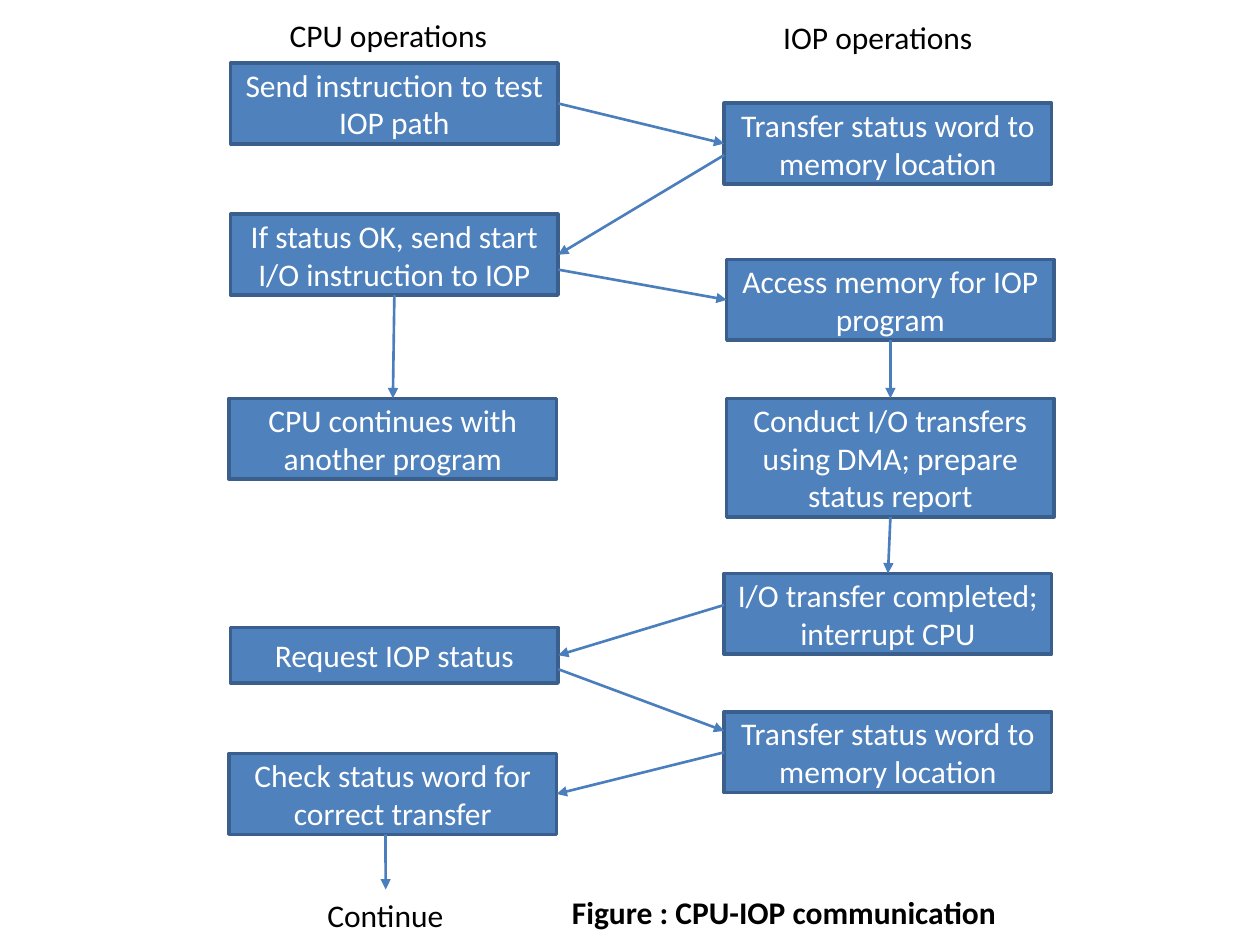
from collections import namedtuple
from dataclasses import dataclass

from lxml.etree import SubElement
from pptx import Presentation
from pptx.dml.color import RGBColor
from pptx.enum.shapes import MSO_CONNECTOR, MSO_SHAPE
from pptx.enum.text import MSO_ANCHOR, MSO_AUTO_SIZE, PP_ALIGN
from pptx.oxml.ns import qn
from pptx.util import Cm, Pt

Box = namedtuple("Box", "left top width height")
Step = namedtuple("Step", "name text top height shift", defaults=(1.63, 0))
End = namedtuple("End", "name side offset", defaults=(0,))
TOP, LEFT, BOTTOM, RIGHT = range(4)


@dataclass(frozen=True)
class Theme:
    """Colours, font and sizes of the flowchart."""
    font: str = "Calibri"
    size: Pt = Pt(18)
    step_fill: RGBColor = RGBColor(0x4F, 0x81, 0xBD)
    step_edge: RGBColor = RGBColor(0x3A, 0x5F, 0x8C)
    arrow: RGBColor = RGBColor(0x4B, 0x7E, 0xBC)
    on_step: RGBColor = RGBColor(0xFF, 0xFF, 0xFF)
    ink: RGBColor = RGBColor(0, 0, 0)
    edge_width: Pt = Pt(2)
    arrow_width: Pt = Pt(1.5)


THEME = Theme()

CPU_BOX = Box(4.65, 0.2, 6.6, 16.62)
IOP_BOX = Box(14.6, 0.23, 6.6, 15.75)
CONTINUE_BOX = Box(6.35, 17.93, 2.95, 1.02)
CAPTION_BOX = Box(11.28, 17.88, 12.7, 1.02)

CPU_STEPS = [
    Step("test", "Send instruction to test IOP path", 1.07),
    Step("start", "If status OK, send start I/O instruction to IOP", 4.12),
    Step("carry on", "CPU continues with another program", 7.83, shift=-0.03),
    Step("request", "Request IOP status", 12.45, 1.12),
    Step("check", "Check status word for correct transfer", 14.99, shift=-0.03),
]
IOP_STEPS = [
    Step("first status", "Transfer status word to memory location", 1.85),
    Step("access", "Access memory for IOP program", 5, shift=0.05),
    Step("conduct", "Conduct I/O transfers using DMA; prepare status report",
         7.8, 2.39, 0.05),
    Step("interrupt", "I/O transfer completed; interrupt CPU", 11.33),
    Step("last status", "Transfer status word to memory location", 14.12),
]
FLOWS = [
    (End("test", RIGHT), End("first status", LEFT)),
    (End("first status", LEFT, 0.23), End("start", RIGHT)),
    (End("start", RIGHT, 0.3), End("access", LEFT)),
    (End("start", BOTTOM), End("carry on", TOP)),
    (End("access", BOTTOM), End("conduct", TOP)),
    (End("conduct", BOTTOM), End("interrupt", TOP)),
    (End("interrupt", LEFT, -0.18), End("request", RIGHT)),
    (End("request", RIGHT, 0.28), End("last status", LEFT, -0.43)),
    (End("last status", LEFT), End("check", RIGHT)),
    (End("check", BOTTOM, -0.15), End("continue", TOP, -0.05)),
]


def write(frame, text, color, align=PP_ALIGN.LEFT, bold=False):
    """Put one formatted paragraph into a text frame."""
    frame.text = text
    frame.word_wrap = True
    paragraph = frame.paragraphs[0]
    paragraph.alignment = align
    font = paragraph.runs[0].font
    font.name, font.size, font.bold = THEME.font, THEME.size, bold
    font.color.rgb = color


def draw_label(slide, box, text, bold=False):
    """Draw plain text in the given box."""
    label = slide.shapes.add_textbox(*map(Cm, box))
    write(label.text_frame, text, THEME.ink, bold=bold)
    label.text_frame.auto_size = MSO_AUTO_SIZE.SHAPE_TO_FIT_TEXT
    return label


def draw_step(slide, box, text):
    """Draw one step of the flow in the given box."""
    step = slide.shapes.add_shape(MSO_SHAPE.RECTANGLE, *map(Cm, box))
    step.shadow.inherit = False
    step.fill.solid()
    step.fill.fore_color.rgb = THEME.step_fill
    step.line.color.rgb = THEME.step_edge
    step.line.width = THEME.edge_width
    step.text_frame.vertical_anchor = MSO_ANCHOR.MIDDLE
    write(step.text_frame, text, THEME.on_step, PP_ALIGN.CENTER)
    return step


def draw_column(slide, box, heading, steps):
    """Draw a headed column of steps and return the shapes by step name."""
    draw_label(slide, Box(box.left + 0.94, box.top, 4.75, 1.02), heading)
    return {
        step.name: draw_step(
            slide,
            Box(box.left + step.shift, box.top + step.top, box.width, step.height),
            step.text)
        for step in steps
    }


def locate(shape, side, offset):
    """Return the point at an offset from the middle of a side."""
    if side in (TOP, BOTTOM):
        y = shape.top + (shape.height if side == BOTTOM else 0)
        return shape.left + shape.width // 2 + Cm(offset), y
    x = shape.left + (shape.width if side == RIGHT else 0)
    return x, shape.top + shape.height // 2 + Cm(offset)


def draw_flow(slide, nodes, start, end):
    """Draw an arrow between two nodes, joined where it meets a side's middle."""
    source, target = nodes[start.name], nodes[end.name]
    arrow = slide.shapes.add_connector(
        MSO_CONNECTOR.STRAIGHT,
        *locate(source, start.side, start.offset),
        *locate(target, end.side, end.offset))
    if not start.offset:
        arrow.begin_connect(source, start.side)
    if not end.offset:
        arrow.end_connect(target, end.side)
    arrow.line.color.rgb = THEME.arrow
    arrow.line.width = THEME.arrow_width
    SubElement(arrow.line._get_or_add_ln(), qn("a:tailEnd"), type="triangle")
    SubElement(arrow._element.spPr, qn("a:effectLst"))


def main():
    """Build the CPU-IOP communication slide."""
    deck = Presentation()
    deck.slide_width, deck.slide_height = Cm(25.4), Cm(19.05)
    slide = deck.slides.add_slide(deck.slide_layouts[6])
    nodes = draw_column(slide, CPU_BOX, "CPU operations", CPU_STEPS)
    nodes |= draw_column(slide, IOP_BOX, "IOP operations", IOP_STEPS)
    nodes["continue"] = draw_label(slide, CONTINUE_BOX, "Continue")
    for start, end in FLOWS:
        draw_flow(slide, nodes, start, end)
    draw_label(slide, CAPTION_BOX, "Figure : CPU-IOP communication", bold=True)
    deck.save("out.pptx")


if __name__ == "__main__":
    main()
